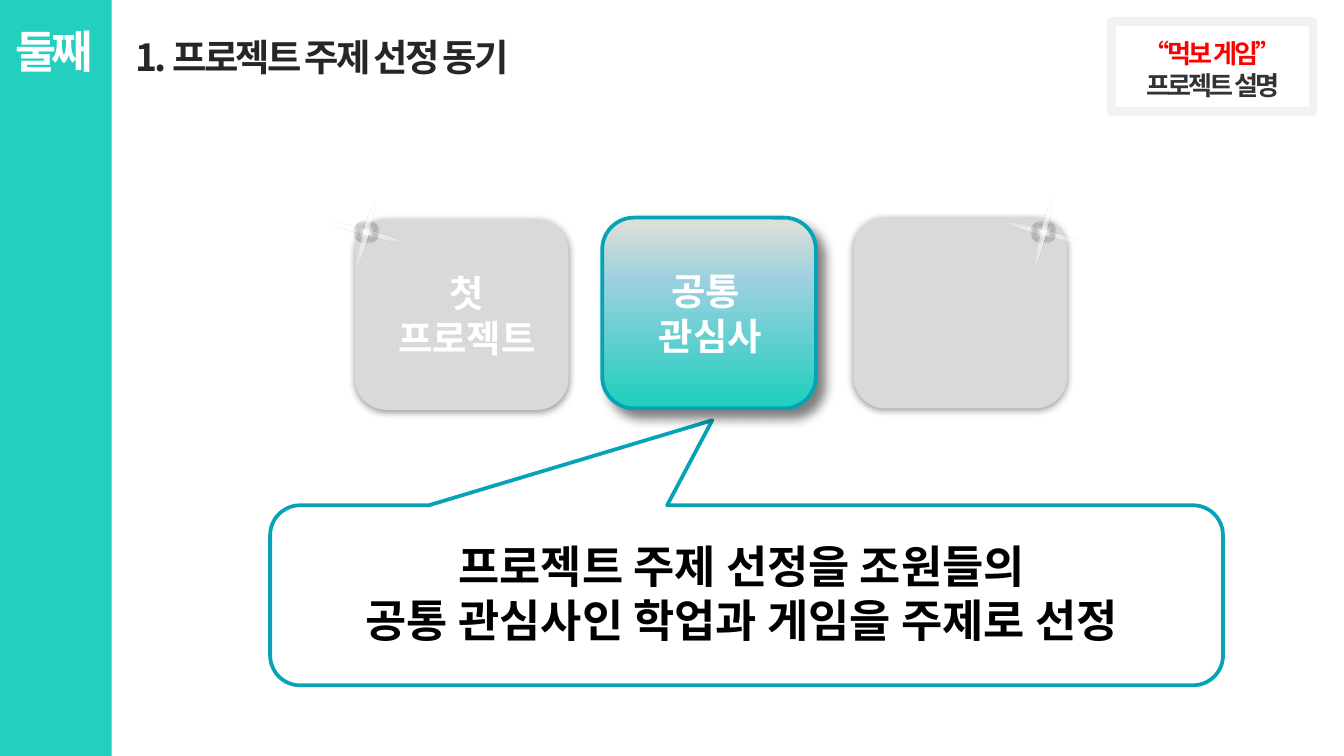
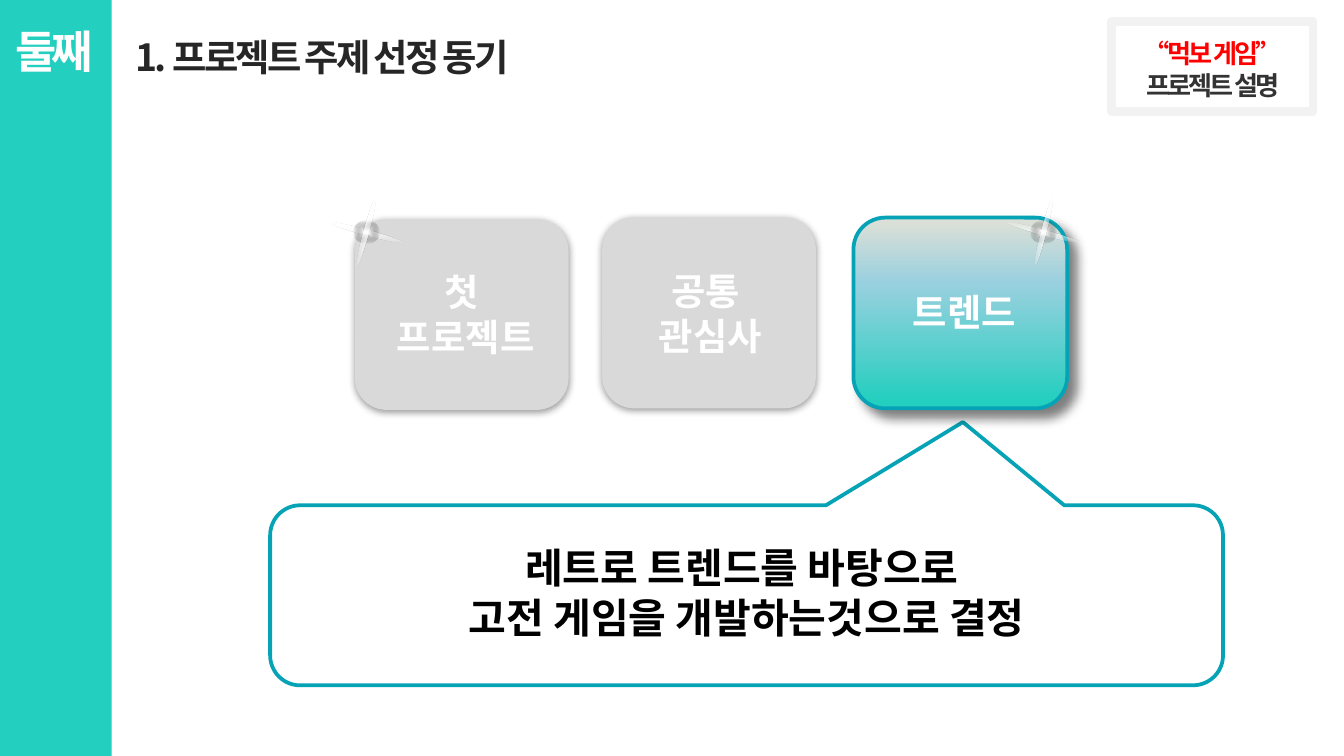
from lxml import etree
from pptx import Presentation
from pptx import util as u
from pptx.dml.color import RGBColor
from pptx.enum import shapes, text
from pptx.oxml import ns

FONT = "Noto Sans CJK KR"
COLORS = {
    "teal": "23CFBF", "edge": "06A3B6", "sky": "99D0DF", "sand": "DADFD7",
    "gray": "D9D9D9", "frame": "F2F2F2", "white": "FFFFFF", "black": "000000",
    "red": "FF0000", "subtitle": "333333", "title": "262626",
}
SECTION = "둘째"
TITLE = "1. 프로젝트 주제 선정 동기"
BADGE = ["“먹보 게임”", "프로젝트 설명"]

TILE_SIZE = (114.5, 102.2)
TILES = [(190.1, 117.4), (322.6, 116.6), (457.2, 116.6)]
LABEL_SIZE = (97.2, 55.4)
CALLOUT = (144.7, 270.7, 510.5, 96.5)
SLIDES = [
    {
        "active": 1,
        "labels": [(["첫", "프로젝트"], 201.6, 141.1), (["공통 ", "관심사"], 331.9, 140.4), None],
        "pointer": (-0.036, -0.972),
        "message": ["프로젝트 주제 선정을 조원들의 ", "공통 관심사인 학업과 게임을 주제로 선정 "],
        "size": 24, "message_at": (150.5, 285.1, 499, 65.5),
    },
    {
        "active": 2,
        "labels": [(["첫 ", "프로젝트"], 200.9, 140.4), (["공통 ", "관심사"], 331.9, 140.4),
                   (["트렌드"], 468, 151.2)],
        "pointer": (0.227, -0.962),
        "message": ["레트로 트렌드를 바탕으로 ", "고전 게임을 개발하는것으로 결정"],
        "size": 22, "message_at": (150.5, 287.3, 499, 59.8),
    },
]

TILE_GRADIENT = [(3, "teal", 100), (66, "sky", 100), (97, "sand", 100)]
RAY_GRADIENT = [(0, "white", 70), (100, "white", 0)]
CORE_GRADIENT = [(10, "white", 80), (100, "black", 0)]
SPARKLE = [
    (0, 5, 39.6, 2.9, 14.3, RAY_GRADIENT),
    (13, 0, 13.7, 12.2, 0, CORE_GRADIENT),
    (1, 5, 37.4, 2.9, 104.3, RAY_GRADIENT),
]
SPARKLES = [(539.3, 118.1), (176.4, 118.1)]
FLAT_SHADOW = (40, 4, 1, 90)
RAISED_SHADOW = (50, 6, 6, 45)


def rgb(name):
    return RGBColor.from_string(COLORS[name])


def points(*values):
    return [u.Pt(value) for value in values]


def add_element(parent, tag, **attributes):
    values = {key: str(value) for key, value in attributes.items()}
    return etree.SubElement(parent, ns.qn(tag), values)


def add_color(parent, color, alpha):
    node = add_element(parent, "a:srgbClr", val=COLORS[color])
    if alpha < 100:
        add_element(node, "a:alpha", val=alpha * 1000)


def add_gradient(shape, stops, angle=None):
    properties = shape._element.spPr
    gradient = add_element(properties, "a:gradFill", rotWithShape=1)
    stop_list = add_element(gradient, "a:gsLst")
    for position, color, alpha in stops:
        add_color(add_element(stop_list, "a:gs", pos=position * 1000), color, alpha)
    if angle is None:
        center = add_element(gradient, "a:path", path="shape")
        add_element(center, "a:fillToRect", l=50000, t=50000, r=50000, b=50000)
    else:
        add_element(gradient, "a:lin", ang=angle * 60000, scaled=0)
    properties.insert(2, gradient)


def add_shadow(shape, alpha, blur, distance, angle):
    effects = shape._element.spPr.find(ns.qn("a:effectLst"))
    shadow = add_element(effects, "a:outerShdw", blurRad=u.Pt(blur), dist=u.Pt(distance),
                         dir=angle * 60000, algn="ctr", rotWithShape=0)
    add_color(shadow, "black", alpha)


def add_box(parent, kind, at, fill=None, line=None, width=2, gradient=None, angle=None):
    box = parent.shapes.add_shape(kind, *points(*at))
    box.shadow.inherit = False
    if gradient:
        add_gradient(box, gradient, angle)
    elif fill:
        box.fill.solid()
        box.fill.fore_color.rgb = rgb(fill)
    else:
        box.fill.background()
    if line:
        box.line.color.rgb = rgb(line)
        box.line.width = u.Pt(width)
    else:
        box.line.fill.background()
    return box


def add_text(page, lines, at, size=20, colors=("white",), spacing=0, centered=True,
             middle=False, line_spacing=None):
    box = page.shapes.add_textbox(*points(*at))
    frame = box.text_frame
    frame.word_wrap = True
    frame.auto_size = text.MSO_AUTO_SIZE.SHAPE_TO_FIT_TEXT
    frame.vertical_anchor = text.MSO_ANCHOR.MIDDLE if middle else text.MSO_ANCHOR.TOP
    for index, line in enumerate(lines):
        para = frame.add_paragraph() if index else frame.paragraphs[0]
        para.alignment = text.PP_ALIGN.CENTER if centered else text.PP_ALIGN.LEFT
        if line_spacing:
            para.line_spacing = line_spacing
        span = para.add_run()
        span.text = line
        span.font.name = FONT
        span.font.size = u.Pt(size)
        span.font.bold = True
        span.font.color.rgb = rgb(colors[min(index, len(colors) - 1)])
        properties = span.font._element
        add_element(properties, "a:ea", typeface=FONT)
        if spacing:
            properties.set("spc", str(int(spacing * 100)))


def add_header(page):
    add_box(page, shapes.MSO_SHAPE.RECTANGLE, (0, 0, 59.8, 405), fill="teal")
    add_text(page, [SECTION], (1.4, 9.4, 56.9, 36), size=24, spacing=-3, centered=False)
    add_box(page, shapes.MSO_SHAPE.RECTANGLE, (595.4, 11.5, 108, 48.2), line="frame", width=4.5)
    add_text(page, BADGE, (601.9, 16.6, 95.8, 41), size=14, colors=("red", "subtitle"), spacing=-1.5)
    add_text(page, [TITLE], (65.5, -9.4, 260.6, 55.4), colors=("title",), spacing=-1.5,
             centered=False, middle=True, line_spacing=2)


def add_tile(page, index, active):
    look = ({"gradient": TILE_GRADIENT, "angle": 270, "line": "edge"} if active
            else {"fill": "gray"})
    tile = add_box(page, shapes.MSO_SHAPE.ROUNDED_RECTANGLE, TILES[index] + TILE_SIZE, **look)
    add_shadow(tile, *(RAISED_SHADOW if active else FLAT_SHADOW))


def add_callout(page, content):
    callout = add_box(page, shapes.MSO_SHAPE.ROUNDED_RECTANGULAR_CALLOUT, CALLOUT,
                      fill="white", line="edge")
    for index, value in enumerate(content["pointer"]):
        callout.adjustments[index] = value
    add_text(page, content["message"], content["message_at"], size=content["size"],
             colors=("black",))


def add_sparkle(page, left, top):
    group = page.shapes.add_group_shape()
    for x, y, width, height, rotation, gradient in SPARKLE:
        glow = add_box(group, shapes.MSO_SHAPE.OVAL, (left + x, top + y, width, height),
                       gradient=gradient)
        glow.rotation = rotation


def build_slide(deck, content):
    page = deck.slides.add_slide(deck.slide_layouts[6])
    add_header(page)
    add_callout(page, content)
    for index in sorted(range(len(TILES)), key=lambda tile: tile == content["active"]):
        add_tile(page, index, index == content["active"])
        if content["labels"][index]:
            lines, left, top = content["labels"][index]
            add_text(page, lines, (left, top) + LABEL_SIZE, middle=index == 0)
    for left, top in SPARKLES:
        add_sparkle(page, left, top)


def main():
    deck = Presentation()
    deck.slide_width, deck.slide_height = points(720, 405)
    for content in SLIDES:
        build_slide(deck, content)
    deck.save("out.pptx")


if __name__ == "__main__":
    main()
